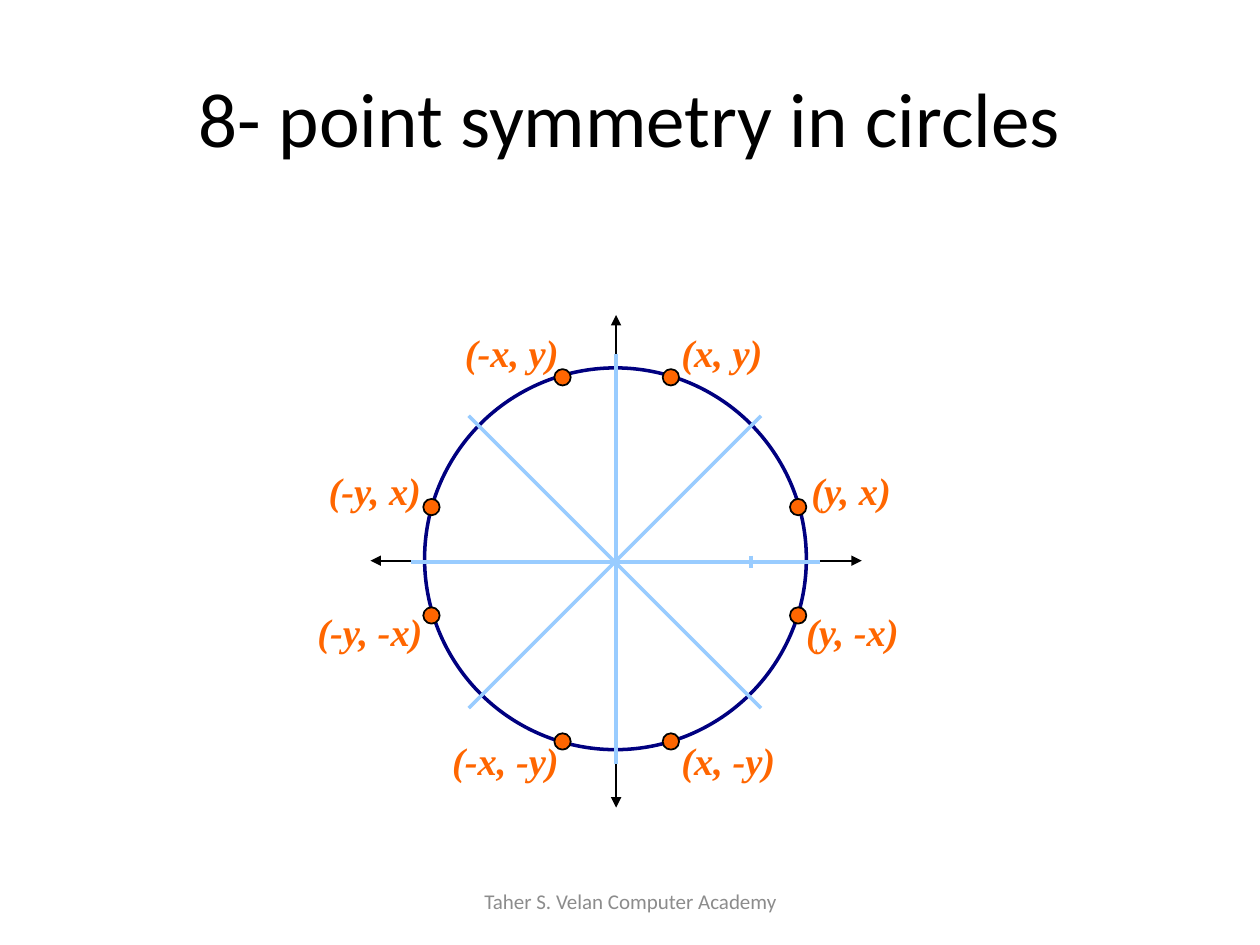
from itertools import product

from lxml.etree import SubElement
from pptx import Presentation
from pptx.dml.color import RGBColor
from pptx.enum.shapes import MSO_CONNECTOR, MSO_SHAPE
from pptx.enum.text import MSO_ANCHOR, PP_ALIGN
from pptx.oxml.ns import qn
from pptx.util import Inches, Pt

BLACK = RGBColor(0x00, 0x00, 0x00)
NAVY = RGBColor(0x00, 0x00, 0x80)
ORANGE = RGBColor(0xFF, 0x66, 0x00)
LIGHT_BLUE = RGBColor(0x99, 0xCC, 0xFF)
GRAY = RGBColor(0x8C, 0x8C, 0x8C)

presentation = Presentation()
presentation.slide_width = Inches(10)
presentation.slide_height = Inches(7.5)
slide = presentation.slides.add_slide(presentation.slide_layouts[6])


def add_text(text, left, top, width, height, size, font, color, centered=True):
    shape = slide.shapes.add_textbox(Inches(left), Inches(top), Inches(width), Inches(height))
    frame = shape.text_frame
    frame.word_wrap = centered
    frame.vertical_anchor = MSO_ANCHOR.MIDDLE if centered else MSO_ANCHOR.TOP
    paragraph = frame.paragraphs[0]
    paragraph.alignment = PP_ALIGN.CENTER if centered else PP_ALIGN.LEFT
    run = paragraph.add_run()
    run.text = text
    run.font.size = Pt(size)
    run.font.name = font
    run.font.color.rgb = color
    return run


def add_line(x1, y1, x2, y2, color, width):
    line = slide.shapes.add_connector(
        MSO_CONNECTOR.STRAIGHT, Inches(x1), Inches(y1), Inches(x2), Inches(y2))
    line.line.color.rgb = color
    line.line.width = Pt(width)
    SubElement(line._element.spPr, qn("a:effectLst"))
    return line


add_text("8- point symmetry in circles", 0.5, 0.3, 9, 1.25, 44, "Calibri", BLACK)

for ends in [(4.89, 6.41, 4.89, 2.5), (2.94, 4.45, 6.84, 4.45)]:
    axis = add_line(*ends, BLACK, 1)
    outline = axis.line._get_or_add_ln()
    for tag in ("a:headEnd", "a:tailEnd"):
        SubElement(outline, qn(tag), type="triangle")

circle = slide.shapes.add_shape(
    MSO_SHAPE.OVAL, Inches(3.37), Inches(2.92), Inches(3.03), Inches(3.03))
circle.shadow.inherit = False
circle.fill.background()
circle.line.color.rgb = NAVY
circle.line.width = Pt(2)

points = [*product((5.26, 4.4), (2.93, 5.82)), *product((3.36, 6.27), (4.82, 3.96))]
for left, top in points:
    point = slide.shapes.add_shape(
        MSO_SHAPE.OVAL, Inches(left), Inches(top), Inches(0.13), Inches(0.13))
    point.shadow.inherit = False
    point.fill.solid()
    point.fill.fore_color.rgb = ORANGE
    point.line.color.rgb = BLACK
    point.line.width = Pt(1)

labels = [
    ("(x, y)", 5.31, 2.56, 0.85),
    ("(y, x)", 6.34, 3.66, 0.85),
    ("(y, -x)", 6.3, 4.78, 0.95),
    ("(x, -y)", 5.31, 5.8, 0.95),
    ("(-x, -y)", 3.49, 5.8, 1.05),
    ("(-y, -x)", 2.42, 4.78, 1.05),
    ("(-y, x)", 2.51, 3.66, 0.95),
    ("(-x, y)", 3.59, 2.56, 0.95),
]
for text, left, top, width in labels:
    label = add_text(text, left, top, width, 0.47, 22, "Times New Roman", ORANGE, centered=False)
    label.font.bold = True
    label.font.italic = True

symmetry_lines = [
    (3.72, 5.62, 6.04, 3.3),
    (5.96, 4.41, 5.96, 4.51),
    (6.04, 5.62, 3.72, 3.3),
    (4.89, 6.06, 4.89, 2.81),
    (3.26, 4.46, 6.51, 4.46),
]
for ends in symmetry_lines:
    add_line(*ends, LIGHT_BLUE, 2)

add_text("Taher S. Velan Computer Academy", 3.42, 6.95, 3.17, 0.4, 12, "Calibri", GRAY)

presentation.save("out.pptx")
